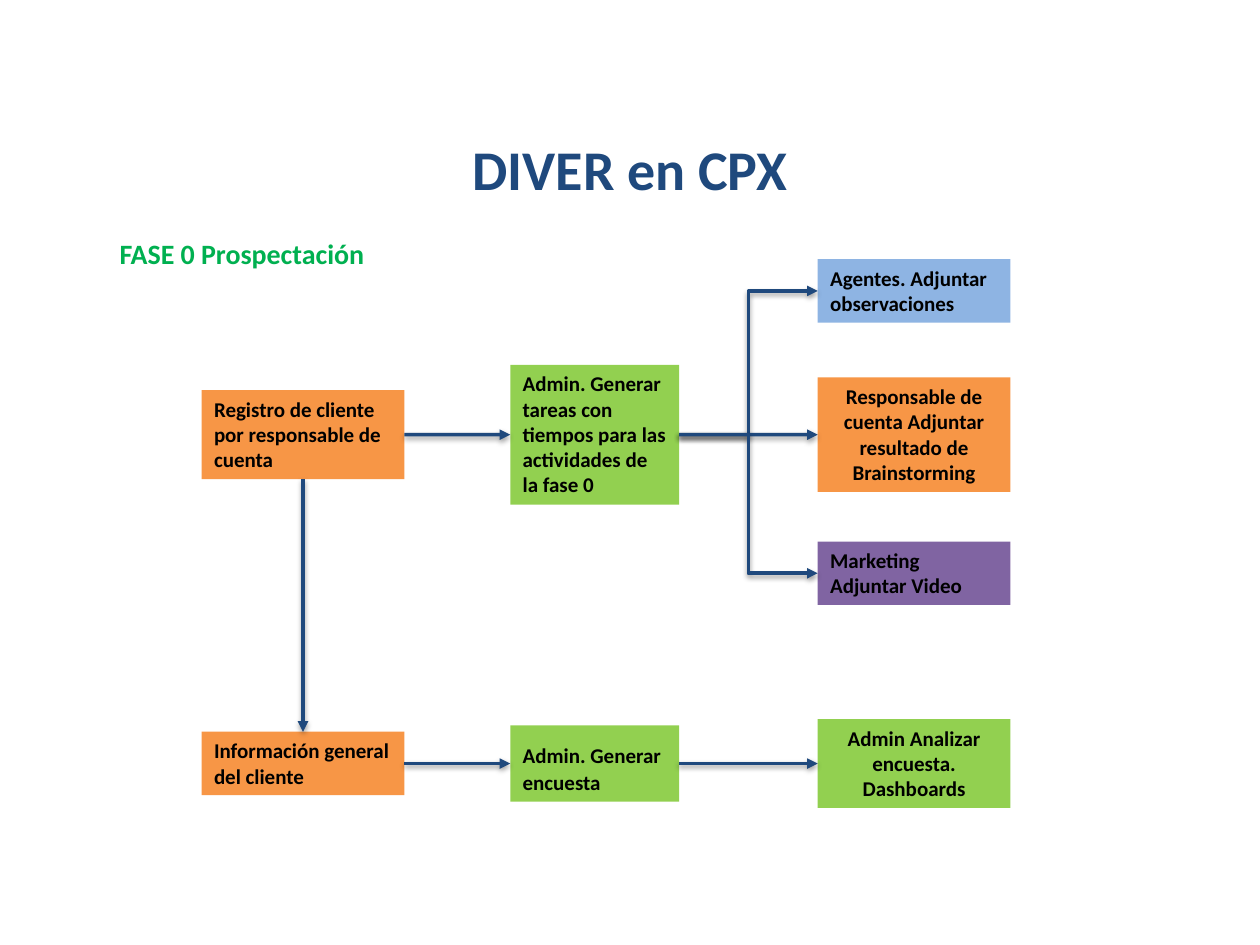
from lxml import etree
from pptx import Presentation
from pptx.dml.color import RGBColor
from pptx.enum.shapes import MSO_CONNECTOR, MSO_SHAPE
from pptx.enum.text import MSO_ANCHOR, MSO_AUTO_SIZE, PP_ALIGN
from pptx.oxml.ns import qn
from pptx.util import Inches, Pt

RECTANGLE = MSO_SHAPE.RECTANGLE
STRAIGHT, ELBOW = MSO_CONNECTOR.STRAIGHT, MSO_CONNECTOR.ELBOW
TOP, MIDDLE = MSO_ANCHOR.TOP, MSO_ANCHOR.MIDDLE
LEFT, CENTER = PP_ALIGN.LEFT, PP_ALIGN.CENTER
GROW = MSO_AUTO_SIZE.SHAPE_TO_FIT_TEXT

CELL = 0.1
NAVY, BLACK, PHASE_GREEN = "1F497D", "000000", "00B050"
ORANGE, GREEN, BLUE, PURPLE = "F79646", "92D050", "8EB4E3", "8064A2"
SITE_TOP, SITE_LEFT, SITE_BOTTOM, SITE_RIGHT = range(4)

COLUMNS = [(0, 16.1), (24.5, 13.4), (48.9, 15.3)]
ROWS = {"agents": 2.5, "main": 13.9, "marketing": 24.9, "survey": 40}
STEPS = {
    "register": (0, "main", 3, ORANGE, LEFT,
                 ["Registro de cliente por responsable de cuenta"]),
    "client": (0, "survey", 2, ORANGE, LEFT, ["Información general del cliente"]),
    "survey": (1, "survey", 2.5, GREEN, LEFT, ["Admin. Generar encuesta"]),
    "tasks": (1, "main", 5, GREEN, LEFT,
              ["Admin. Generar tareas con tiempos para las actividades de la fase 0"]),
    "analysis": (2, "survey", 3, GREEN, CENTER,
                 ["Admin Analizar encuesta. Dashboards"]),
    "agents": (2, "agents", 2, BLUE, LEFT, ["Agentes. Adjuntar observaciones"]),
    "marketing": (2, "marketing", 2, PURPLE, LEFT, ["Marketing", "Adjuntar Video"]),
    "brainstorm": (2, "main", 4, ORANGE, CENTER,
                   ["Responsable de cuenta Adjuntar resultado de Brainstorming"]),
}
LINKS = [
    ("register", "tasks", STRAIGHT), ("tasks", "agents", ELBOW),
    ("tasks", "brainstorm", STRAIGHT), ("tasks", "marketing", ELBOW),
    ("register", "client", STRAIGHT), ("client", "survey", STRAIGHT),
    ("survey", "analysis", STRAIGHT),
]


def color(code):
    """Turn a hex string into a colour."""
    return RGBColor.from_string(code)


def cells(*counts):
    """Turn counts of grid cells into lengths."""
    return [Inches(count * CELL) for count in counts]


def write(shape, lines, size, code, align=LEFT, anchor=TOP):
    """Fill a shape with bold paragraphs in one style."""
    frame = shape.text_frame
    frame.word_wrap = True
    frame.vertical_anchor = anchor
    frame.text = "\n".join(lines)
    for para in frame.paragraphs:
        para.alignment = align
        for span in para.runs:
            style(span, size, code)


def style(span, size, code):
    """Set the font of one run."""
    span.font.name = "Calibri"
    span.font.size = Pt(size)
    span.font.bold = True
    span.font.color.rgb = color(code)


def add_heading(page, box, line, size, code, align, anchor):
    """Place one line of heading text in a box of grid cells."""
    heading = page.shapes.add_textbox(*cells(*box))
    write(heading, [line], size, code, align, anchor)


def add_step(page, origin, column, row, line_count, fill, align, lines):
    """Place a step in its column, centred on its row."""
    left, width = COLUMNS[column]
    height = 1 + 2.02 * line_count
    top = ROWS[row] - height / 2
    step = page.shapes.add_shape(
        RECTANGLE, *cells(origin[0] + left, origin[1] + top, width, height))
    step.shadow.inherit = False
    step.fill.solid()
    step.fill.fore_color.rgb = color(fill)
    step.line.fill.background()
    write(step, lines, 12, BLACK, align)
    step.text_frame.auto_size = GROW
    return step


def enlarge_last_space(step, size):
    """Give the last space of a step its own larger run."""
    para = step.text_frame.paragraphs[0]
    first, last = para.text.rsplit(" ", 1)
    para.runs[0].text = first
    for text, points in ((" ", size), (last, 12)):
        span = para.add_run()
        span.text = text
        style(span, points, BLACK)


def add_link(page, source, target, kind):
    """Join two steps by an arrow with a soft shadow."""
    link = page.shapes.add_connector(kind, 0, 0, 0, 0)
    downward = source.left == target.left
    link.begin_connect(source, SITE_BOTTOM if downward else SITE_RIGHT)
    link.end_connect(target, SITE_TOP if downward else SITE_LEFT)
    link.line.color.rgb = color(NAVY)
    link.line.width = Pt(2)
    etree.SubElement(link.line._get_or_add_ln(), qn("a:tailEnd"), type="triangle")
    effects = etree.SubElement(link._element.spPr, qn("a:effectLst"))
    shadow = etree.SubElement(effects, qn("a:outerShdw"), blurRad=str(Pt(3.1)),
                              dist=str(Pt(1.6)), dir="5400000", rotWithShape="0")
    tint = etree.SubElement(shadow, qn("a:srgbClr"), val=BLACK)
    etree.SubElement(tint, qn("a:alpha"), val="38000")


def add_flow(page, origin):
    """Build the flow of steps and arrows from its top left corner."""
    steps = {name: add_step(page, origin, *step) for name, step in STEPS.items()}
    enlarge_last_space(steps["survey"], 18)
    for source, target, kind in LINKS:
        add_link(page, steps[source], steps[target], kind)


def main():
    """Build and save the deck."""
    deck = Presentation()
    deck.slide_width, deck.slide_height = cells(100, 75)
    page = deck.slides.add_slide(deck.slide_layouts[6])
    add_heading(page, (6.9, 10.1, 86.2, 6.5), "DIVER en CPX", 32, NAVY, CENTER, MIDDLE)
    add_flow(page, (16, 20.6))
    add_heading(page, (8.5, 18.3, 86.2, 42.7), "FASE 0 Prospectación", 16,
                PHASE_GREEN, LEFT, TOP)
    deck.save("out.pptx")


if __name__ == "__main__":
    main()
